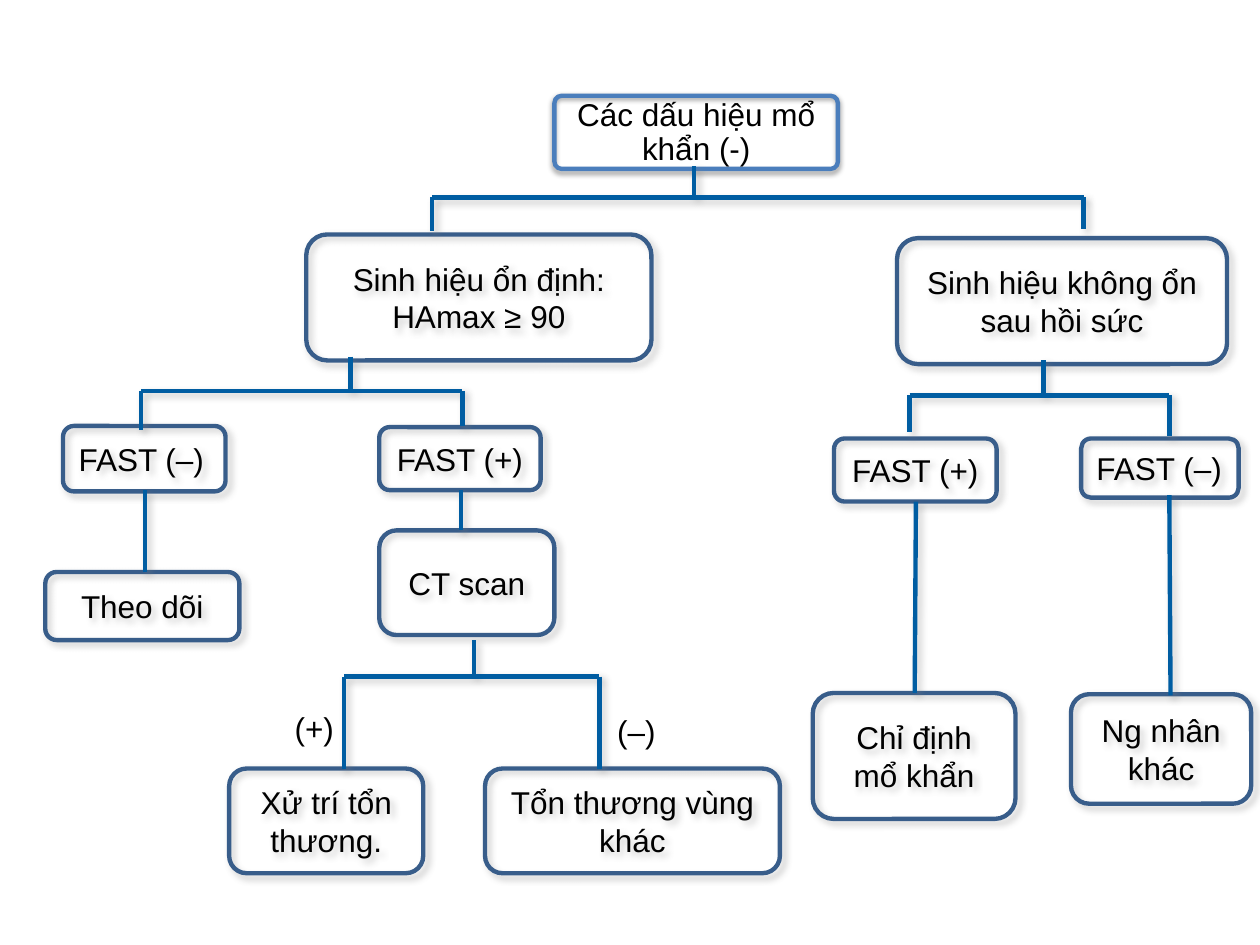
from lxml.etree import SubElement
from pptx import Presentation
from pptx.dml.color import RGBColor
from pptx.enum.shapes import MSO_CONNECTOR, MSO_SHAPE
from pptx.enum.text import MSO_ANCHOR, PP_ALIGN
from pptx.oxml.ns import qn
from pptx.util import Pt

BLACK = RGBColor(0x00, 0x00, 0x00)
NODE_BLUE = RGBColor(0x38, 0x5D, 0x8A)
ROOT_BLUE = RGBColor(0x4B, 0x7E, 0xBC)
LINK_BLUE = RGBColor(0x00, 0x5D, 0xA2)
CENTER, LEFT = PP_ALIGN.CENTER, PP_ALIGN.LEFT

# colour, opacity %, blur, distance, direction in degrees
SOFT_SHADOW = ("808080", 40, 4, 3, 45)
ROOT_SHADOW = ("000000", 38, 3.1, 1.6, 90)

ROOT_TEXT = "Các dấu hiệu mổ khẩn (-)"
ROOT_FRAME = (316.8, 54.7, 162, 41.8)
ROOT_TEXT_FRAME = (319, 56.2, 157.7, 39.6)

# paragraphs, alignment, (left, top, width, height)
NODES = [
    (["Sinh hiệu ổn định:", "HAmax ≥ 90"], CENTER, (175, 134, 197.3, 72)),
    (["Sinh hiệu không ổn", "sau hồi sức"], CENTER, (512.6, 136.1, 188.6, 72)),
    (["FAST (–)"], LEFT, (36, 243.4, 92.9, 37.4)),
    (["FAST (+)"], CENTER, (216.7, 244.1, 92.2, 36)),
    (["FAST (+)"], CENTER, (476.6, 250.6, 92.9, 36)),
    (["FAST (–)"], LEFT, (617.8, 250.6, 90, 33.8)),
    (["Theo dõi"], CENTER, (25.9, 326.9, 110.9, 38.9)),
    (["CT scan"], CENTER, (216.7, 303.1, 100.1, 59.8)),
    (["Xử trí tổn thương."], CENTER, (131, 439.2, 110.9, 59.8)),
    (["Tổn thương vùng khác"], CENTER, (277.2, 439.2, 168.5, 59.8)),
    (["Chỉ định mổ khẩn"], CENTER, (464.4, 396, 115.9, 72)),
    (["Ng nhân khác"], CENTER, (612, 396.7, 103, 62.6)),
]
BRANCH_LABELS = [("(+)", (161.3, 401.8, 39.6, 28.8)),
                 ("(–)", (345.6, 403.2, 39.6, 28.8))]

# stem x, stem top, bar y, ends of the two drops
FORKS = [
    (396.7, 95, 112.8, [(247, 131.8), (619.2, 131)]),
    (200.2, 203.8, 223.5, [(80.6, 245.5), (264.2, 243.4)]),
    (270.7, 365.8, 386.6, [(196.6, 439.2), (342.5, 439.2)]),
    (596.2, 205.9, 226, [(519.8, 247), (668.2, 249.1)]),
]
LINKS = [
    (82.8, 280.1, 82.8, 326.9),
    (263.5, 280.1, 263.5, 303.1),
    (523.4, 286.6, 522.7, 396),
    (668.2, 283, 668.9, 397.4),
]


def points(values):
    return [Pt(value) for value in values]


def add_shadow(shape, shadow):
    color, opacity, blur, distance, angle = shadow
    effects = SubElement(shape._element.spPr, qn("a:effectLst"))
    outer = SubElement(effects, qn("a:outerShdw"), blurRad=str(Pt(blur)),
                       dist=str(Pt(distance)), dir=str(angle * 60000),
                       algn="tl", rotWithShape="0")
    tint = SubElement(outer, qn("a:srgbClr"), val=color)
    SubElement(tint, qn("a:alpha"), val=str(opacity * 1000))


def style_line(shape, color, shadow):
    shape.line.color.rgb = color
    shape.line.width = Pt(2.5)
    add_shadow(shape, shadow)


def write(box, paragraphs, alignment, anchor=MSO_ANCHOR.MIDDLE):
    frame = box.text_frame
    frame.word_wrap = True
    frame.vertical_anchor = anchor
    for index, text in enumerate(paragraphs):
        para = frame.add_paragraph() if index else frame.paragraphs[0]
        para.alignment = alignment
        span = para.add_run()
        span.text = text
        span.font.name = "Arial"
        span.font.size = Pt(18)
        span.font.color.rgb = BLACK


def add_node(page, frame, color, shadow):
    node = page.shapes.add_shape(MSO_SHAPE.ROUNDED_RECTANGLE, *points(frame))
    node.fill.background()
    style_line(node, color, shadow)
    return node


def add_link(page, *ends):
    link = page.shapes.add_connector(MSO_CONNECTOR.STRAIGHT, *points(ends))
    style_line(link, LINK_BLUE, SOFT_SHADOW)


def add_root(page):
    root = add_node(page, ROOT_FRAME, ROOT_BLUE, ROOT_SHADOW)
    root.adjustments[0] = 0.1
    box = page.shapes.add_textbox(*points(ROOT_TEXT_FRAME))
    write(box, [ROOT_TEXT], CENTER)
    frame = box.text_frame
    frame.margin_left = frame.margin_right = Pt(5)
    frame.margin_top = frame.margin_bottom = Pt(5)
    frame.paragraphs[0].line_spacing = 0.9


def add_fork(page, stem_x, stem_top, bar_y, drops):
    add_link(page, stem_x, stem_top, stem_x, bar_y)
    add_link(page, drops[0][0], bar_y, drops[-1][0], bar_y)
    for x, bottom in drops:
        add_link(page, x, bar_y, x, bottom)


def main():
    deck = Presentation()
    deck.slide_width, deck.slide_height = Pt(720), Pt(540)
    page = deck.slides.add_slide(deck.slide_layouts[6])

    add_root(page)
    for paragraphs, alignment, frame in NODES:
        write(add_node(page, frame, NODE_BLUE, SOFT_SHADOW), paragraphs, alignment)
    for text, frame in BRANCH_LABELS:
        write(page.shapes.add_textbox(*points(frame)), [text], LEFT, MSO_ANCHOR.TOP)
    for fork in FORKS:
        add_fork(page, *fork)
    for link in LINKS:
        add_link(page, *link)

    deck.save("out.pptx")


if __name__ == "__main__":
    main()
